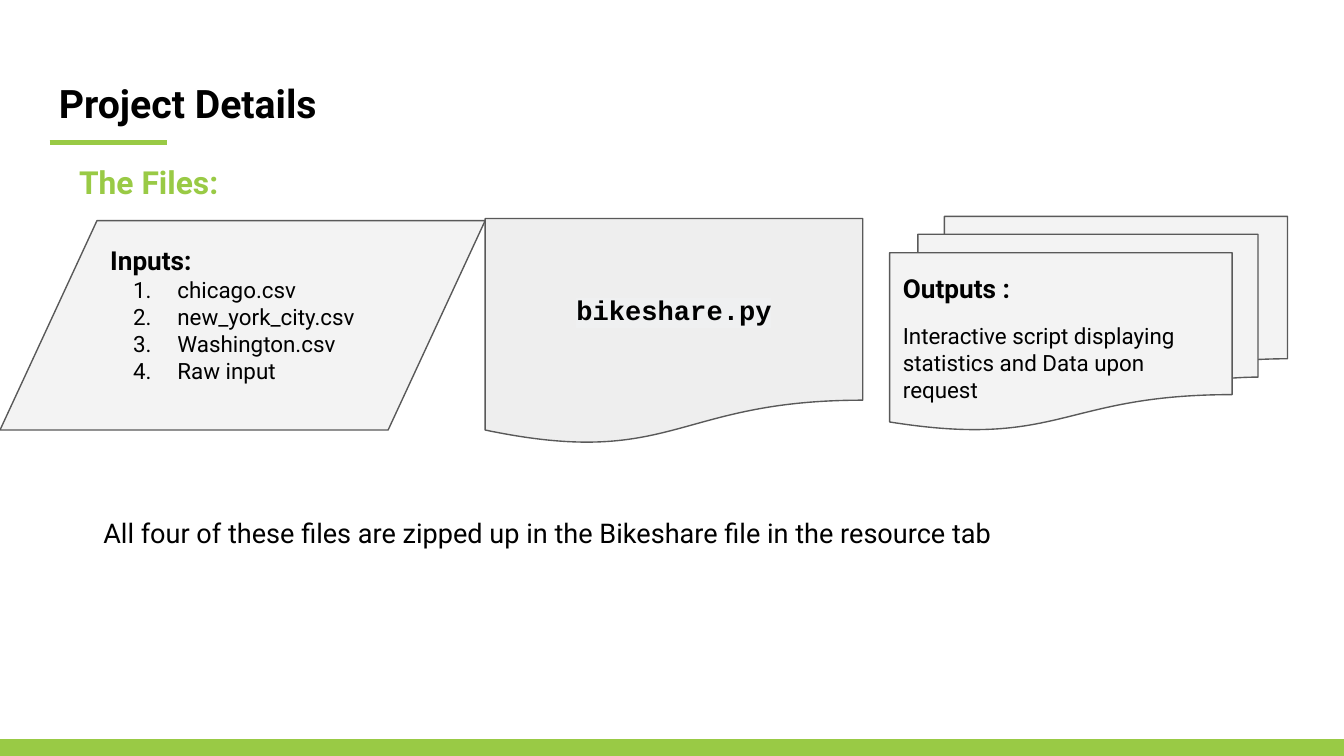
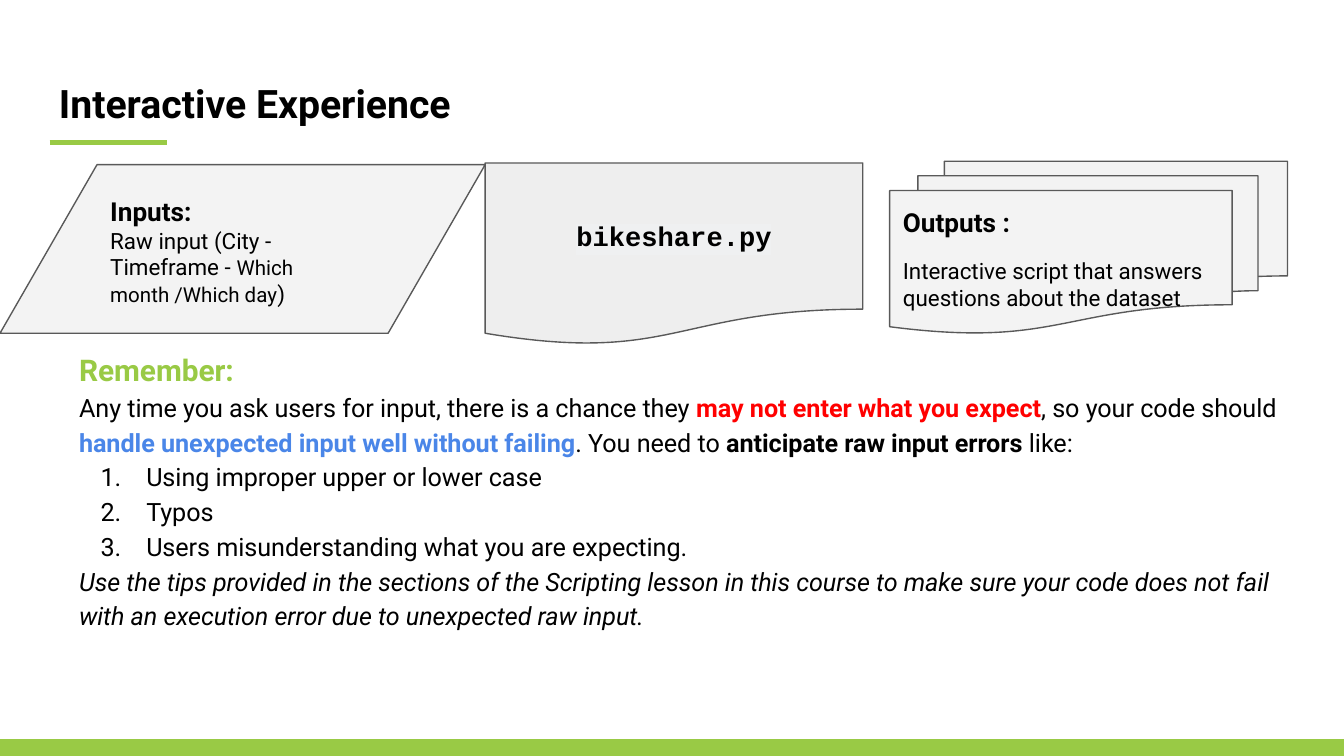
from lxml import etree
from pptx import Presentation
from pptx.dml.color import RGBColor
from pptx.enum.shapes import MSO_CONNECTOR, MSO_SHAPE
from pptx.enum.text import MSO_ANCHOR, PP_ALIGN
from pptx.oxml.ns import qn
from pptx.util import Inches, Pt

COLORS = {
    "green": "99CA45", "black": "000000", "outline": "595959",
    "panel": "F3F3F3", "script": "EEEEEE", "code": "EFF0F1",
    "red": "FF0000", "blue": "4A86E8",
}
STRAIGHT = MSO_CONNECTOR.STRAIGHT
RECTANGLE = MSO_SHAPE.RECTANGLE
DATA = MSO_SHAPE.FLOWCHART_DATA
DOCUMENT = MSO_SHAPE.FLOWCHART_DOCUMENT
MULTIDOCUMENT = MSO_SHAPE.FLOWCHART_MULTIDOCUMENT
TOP, MIDDLE = MSO_ANCHOR.TOP, MSO_ANCHOR.MIDDLE
LEFT, CENTER = PP_ALIGN.LEFT, PP_ALIGN.CENTER
WIDTH = 10
HEIGHT = WIDTH * 9 / 16
INSET = 0.1


def rgb(name):
    """Return the palette colour with this name."""
    return RGBColor.from_string(COLORS[name])


def add_numbering(paragraph, hanging):
    """Number a paragraph with a hanging indent in inches."""
    properties = paragraph._p.get_or_add_pPr()
    properties.set("marL", str(Inches(0.5)))
    properties.set("indent", str(-Inches(hanging)))
    bullet_color = etree.SubElement(properties, qn("a:buClr"))
    etree.SubElement(bullet_color, qn("a:srgbClr"), val=COLORS["black"])
    etree.SubElement(properties, qn("a:buAutoNum"), type="arabicPeriod")


def add_paragraph(frame, content, size=12, color="black", bold=False, italic=False,
                  font="Roboto", highlight=None, align=LEFT, spacing=1.0, before=0,
                  hanging=None):
    """Add a paragraph from a string or from (text, overrides) runs."""
    first = frame.paragraphs[0]
    paragraph = frame.add_paragraph() if first.runs else first
    paragraph.alignment = align
    paragraph.line_spacing = spacing
    paragraph.space_before = Pt(before)
    if hanging:
        add_numbering(paragraph, hanging)
    runs = [(content, {})] if isinstance(content, str) else content
    for text, changes in runs:
        run = paragraph.add_run()
        run.text = text
        run.font.size = Pt(changes.get("size", size))
        run.font.bold = changes.get("bold", bold)
        run.font.italic = italic
        run.font.color.rgb = rgb(changes.get("color", color))
        run.font.name = font
        if highlight:
            mark = etree.Element(qn("a:highlight"))
            etree.SubElement(mark, qn("a:srgbClr"), val=COLORS[highlight])
            run._r.rPr.find(qn("a:solidFill")).addnext(mark)


def prepare_frame(shape, anchor):
    """Set wrapping, anchor and insets, and return the text frame."""
    frame = shape.text_frame
    frame.word_wrap = True
    frame.vertical_anchor = anchor
    frame.margin_left = frame.margin_right = Inches(INSET)
    frame.margin_top = frame.margin_bottom = Inches(INSET)
    return frame


def add_text_box(slide, box):
    """Add a text box and return its text frame."""
    return prepare_frame(slide.shapes.add_textbox(*map(Inches, box)), TOP)


def add_panel(slide, kind, box, fill, line):
    """Add a preset shape and return its text frame."""
    shape = slide.shapes.add_shape(kind, *map(Inches, box))
    shape.shadow.inherit = False
    shape.fill.solid()
    shape.fill.fore_color.rgb = rgb(fill)
    shape.line.color.rgb = rgb(line)
    shape.line.width = Pt(0.75)
    return prepare_frame(shape, MIDDLE)


def add_base_slide(presentation, title):
    """Add a slide with its title, underline and bottom band."""
    slide = presentation.slides.add_slide(presentation.slide_layouts[6])
    add_paragraph(add_text_box(slide, (0.34, 0.49, 9.32, 0.63)), title, size=21, bold=True)
    underline = slide.shapes.add_connector(
        STRAIGHT, Inches(0.37), Inches(1.06), Inches(1.24), Inches(1.06))
    underline.line.color.rgb = rgb("green")
    underline.line.width = Pt(3)
    etree.SubElement(underline._element.spPr, qn("a:effectLst"))
    add_panel(slide, RECTANGLE, (0, HEIGHT - 0.12, WIDTH, 0.12), "green", "green")
    return slide


def add_flow(slide, top, height, output_text):
    """Add outputs, inputs and script panels, and return the inputs frame."""
    outputs = add_panel(slide, MULTIDOCUMENT, (6.62, top, 2.96, height), "panel", "outline")
    add_paragraph(outputs, "Outputs :", size=14, bold=True)
    add_paragraph(outputs, output_text, before=10)

    inputs = add_panel(slide, DATA, (0, top + 0.02 * height, 3.61, 0.98 * height),
                       "panel", "outline")
    add_paragraph(inputs, "Inputs:", size=14, bold=True, spacing=1.15)

    script = add_panel(slide, DOCUMENT, (3.61, top + 0.01 * height, 2.81, 1.06 * height),
                       "script", "outline")
    add_paragraph(script, "bikeshare.py", size=14.5, bold=True, font="Courier New",
                  highlight="code", align=CENTER)
    return inputs


def add_project_details(presentation):
    """Add the slide about the project files."""
    slide = add_base_slide(presentation, "Project Details")
    heading = add_text_box(slide, (0.49, 1.07, 9.17, 3.69))
    add_paragraph(heading, "The Files:", size=17, color="green", bold=True, spacing=1.15)
    inputs = add_flow(slide, 1.61, 1.59,
                      "Interactive script displaying statistics and Data upon request")
    inputs.margin_bottom = Inches(INSET + 0.2)
    for name in ("chicago.csv", "new_york_city.csv", "Washington.csv", "Raw input"):
        add_paragraph(inputs, name, hanging=0.33)
    note = add_text_box(slide, (0.67, 3.74, 8.11, 0.65))
    add_paragraph(
        note, "All four of these files are zipped up in the Bikeshare file in the resource tab",
        size=14.5)


def add_reminder(slide, box):
    """Add the advice on handling raw input."""
    frame = add_text_box(slide, box)
    body = {"size": 13.5, "spacing": 1.15}
    add_paragraph(frame, "Remember:", size=16, color="green", bold=True, spacing=1.15)
    add_paragraph(frame, [
        ("Any time you ask users for input, there is a chance they ", {}),
        ("may not enter what you expect", {"color": "red", "bold": True}),
        (", so your code should ", {}),
        ("handle unexpected input well without failing", {"color": "blue", "bold": True}),
        (". You need to ", {}),
        ("anticipate raw input errors", {"bold": True}),
        (" like:", {}),
    ], **body)
    for error in ("Using improper upper or lower case", "Typos",
                  "Users misunderstanding what you are expecting."):
        add_paragraph(frame, error, hanging=0.34, **body)
    add_paragraph(
        frame, "Use the tips provided in the sections of the Scripting lesson in this course "
        "to make sure your code does not fail with an execution error due to unexpected "
        "raw input.", italic=True, **body)


def add_interactive_experience(presentation):
    """Add the slide about user input."""
    slide = add_base_slide(presentation, "Interactive Experience")
    inputs = add_flow(slide, 1.2, 1.28,
                      "Interactive script that answers questions about the dataset")
    add_paragraph(inputs, [
        ("Raw input (City - Timeframe - ", {}),
        ("Which month /Which day", {"size": 11}),
        (")", {}),
    ])
    add_reminder(slide, (0.49, 2.48, 9.17, 2.23))


def main():
    """Build and save the presentation."""
    presentation = Presentation()
    presentation.slide_width = Inches(WIDTH)
    presentation.slide_height = Inches(HEIGHT)
    add_project_details(presentation)
    add_interactive_experience(presentation)
    presentation.save("out.pptx")


if __name__ == "__main__":
    main()
